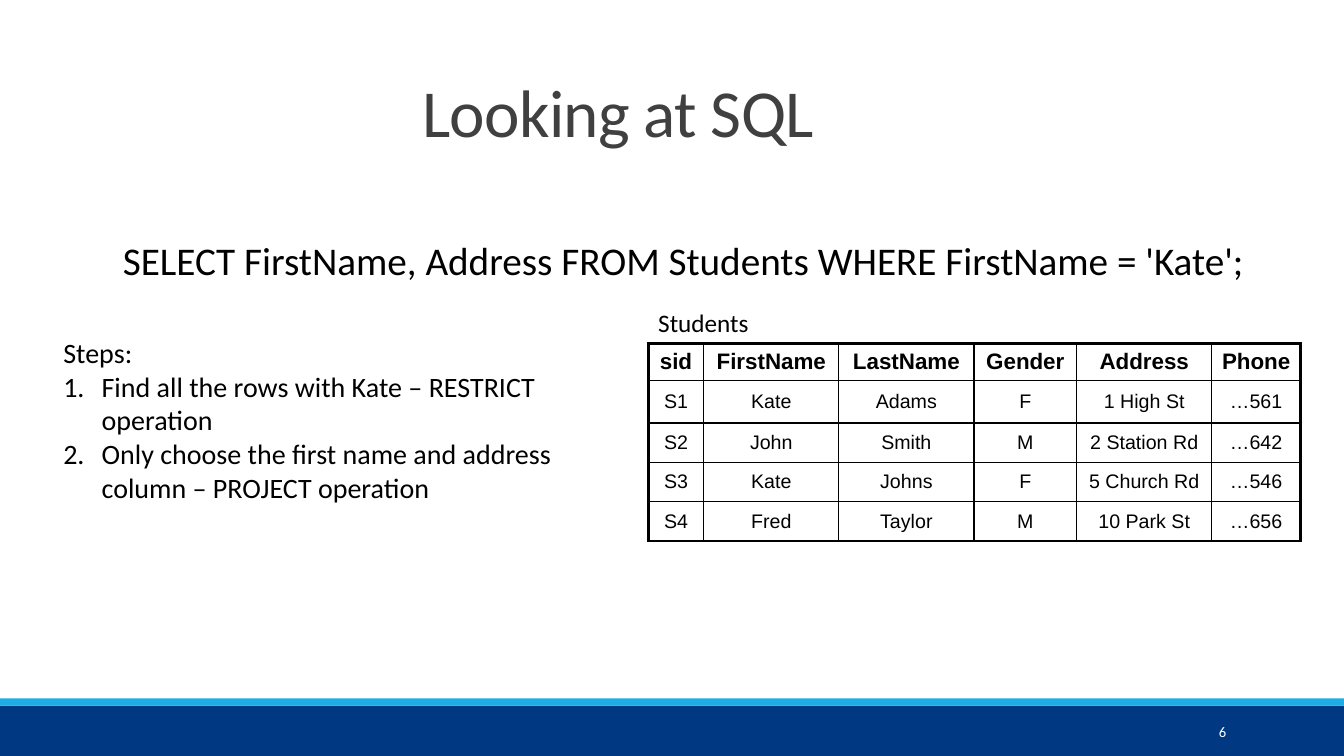
"""Build a slide that walks through a SQL query on a table of students."""
from lxml import etree
from pptx import Presentation
from pptx import util as u
from pptx.dml.color import RGBColor
from pptx.enum import shapes, text
from pptx.oxml.ns import qn

NAVY = RGBColor(0x00, 0x38, 0x82)
SKY = RGBColor(0x1C, 0xAD, 0xE4)
GRAY = RGBColor(0x40, 0x40, 0x40)
BLACK = RGBColor(0, 0, 0)
WHITE = RGBColor(255, 255, 255)
LEFT, MID, RIGHT = text.PP_ALIGN.LEFT, text.PP_ALIGN.CENTER, text.PP_ALIGN.RIGHT
TOP, CENTER, BOTTOM = text.MSO_ANCHOR.TOP, text.MSO_ANCHOR.MIDDLE, text.MSO_ANCHOR.BOTTOM

QUERY = "SELECT FirstName, Address FROM Students WHERE FirstName = 'Kate';"
STEPS = ["Find all the rows with Kate – RESTRICT operation",
         "Only choose the first name and address column – PROJECT operation"]
ROWS = [
    ["sid", "FirstName", "LastName", "Gender", "Address", "Phone"],
    ["S1", "Kate", "Adams", "F", "1 High St", "…561"],
    ["S2", "John", "Smith", "M", "2 Station Rd", "…642"],
    ["S3", "Kate", "Johns", "F", "5 Church Rd", "…546"],
    ["S4", "Fred", "Taylor", "M", "10 Park St", "…656"],
]
WIDTHS = [0.55, 1.34, 1.34, 1.02, 1.34, 0.88]
HEIGHTS = [0.36, 0.42, 0.39, 0.39, 0.39]


def style(para, size, color=BLACK, face="Calibri", bold=False):
    """Set the font of a paragraph's runs."""
    for run in para.runs:
        font = run.font
        font.size, font.name, font.bold = u.Pt(size), face, bold
        font.color.rgb = color


def label(slide, box, lines, size, color=BLACK, align=LEFT, anchor=TOP):
    """Add wrapped text to a box and return its frame."""
    frame = slide.shapes.add_textbox(*map(u.Inches, box)).text_frame
    frame.word_wrap = True
    frame.vertical_anchor = anchor
    frame.text = "\n".join(lines)
    for para in frame.paragraphs:
        para.alignment = align
        style(para, size, color)
    return frame


def footer(slide, box):
    """Draw the footer band, its top stripe and the page number."""
    left, top, width, height = box
    stripe = 0.07
    for y, tall, color in [(top + stripe, height - stripe, NAVY), (top, stripe, SKY)]:
        band = slide.shapes.add_shape(
            shapes.MSO_SHAPE.RECTANGLE, *map(u.Inches, (left, y, width, tall)))
        band.shadow.inherit = False
        band.fill.solid()
        band.fill.fore_color.rgb = color
        band.line.fill.background()
    label(slide, (left + width - 2.5, top + 0.13, 1.43, 0.4), ["6"], 10.5,
          WHITE, RIGHT, CENTER)


def title(slide, box):
    """Place the heading with room below it."""
    frame = label(slide, box, ["Looking at SQL"], 48, GRAY, MID, BOTTOM)
    frame.margin_bottom = u.Inches(0.81)
    para = frame.paragraphs[0]
    para.line_spacing = 0.85
    para.runs[0].font._element.set("spc", "-50")


def steps(slide, box):
    """List the numbered steps under their heading."""
    frame = label(slide, box, ["Steps:"], 20)
    indent = u.Inches(0.38)
    for step in STEPS:
        para = frame.add_paragraph()
        para.text = step
        props = para._p.get_or_add_pPr()
        props.set("marL", str(indent))
        props.set("indent", str(-indent))
        etree.SubElement(props, qn("a:buFont"), typeface="+mj-lt")
        etree.SubElement(props, qn("a:buAutoNum"), type="arabicPeriod")
        style(para, 20)


def border(cell, sides):
    """Give each side of a cell a black line of its width."""
    props = cell._tc.get_or_add_tcPr()
    for spot, (side, width) in enumerate(sides.items()):
        line = etree.Element(qn("a:ln" + side), w=str(u.Pt(width)))
        fill = etree.SubElement(line, qn("a:solidFill"))
        etree.SubElement(fill, qn("a:srgbClr"), val=str(BLACK))
        props.insert(spot, line)


def students(slide, box):
    """Draw the named table of students."""
    left, top, width, height = box
    head = 0.41
    label(slide, (left, top, 1.38, 0.4), ["Students"], 18)
    frame = slide.shapes.add_table(
        len(ROWS), len(WIDTHS),
        *map(u.Inches, (left, top + head, width, height - head)))
    table = frame.table
    table.first_row = table.horz_banding = False
    for col, wide in zip(table.columns, WIDTHS):
        col.width = u.Inches(wide)
    for row, tall in zip(table.rows, HEIGHTS):
        row.height = u.Inches(tall)
    for r, row in enumerate(ROWS):
        for c, value in enumerate(row):
            cell = table.cell(r, c)
            cell.text = value
            cell.vertical_anchor = CENTER
            cell.margin_left = cell.margin_right = u.Inches(0.05)
            cell.fill.background()
            para = cell.text_frame.paragraphs[0]
            para.alignment = MID
            style(para, 14 if r else 16, face="Arial", bold=r == 0)
            edges = {"L": c == 0, "R": c == len(row) - 1,
                     "T": r == 0, "B": r == len(ROWS) - 1}
            border(cell, {side: 2.25 if edge else 1 for side, edge in edges.items()})


def main():
    """Build and save the slide."""
    deck = Presentation()
    deck.slide_width, deck.slide_height = u.Inches(13.33), u.Inches(7.5)
    slide = deck.slides.add_slide(deck.slide_layouts[6])
    footer(slide, (0, 6.93, 13.33, 0.57))
    label(slide, (1.12, 2.3, 11.79, 0.57), [QUERY], 28)
    title(slide, (0.63, 0.72, 11, 1.59))
    students(slide, (6.43, 3, 6.47, 2.38))
    steps(slide, (0.53, 3.28, 5.8, 2.39))
    deck.save("out.pptx")


if __name__ == "__main__":
    main()
